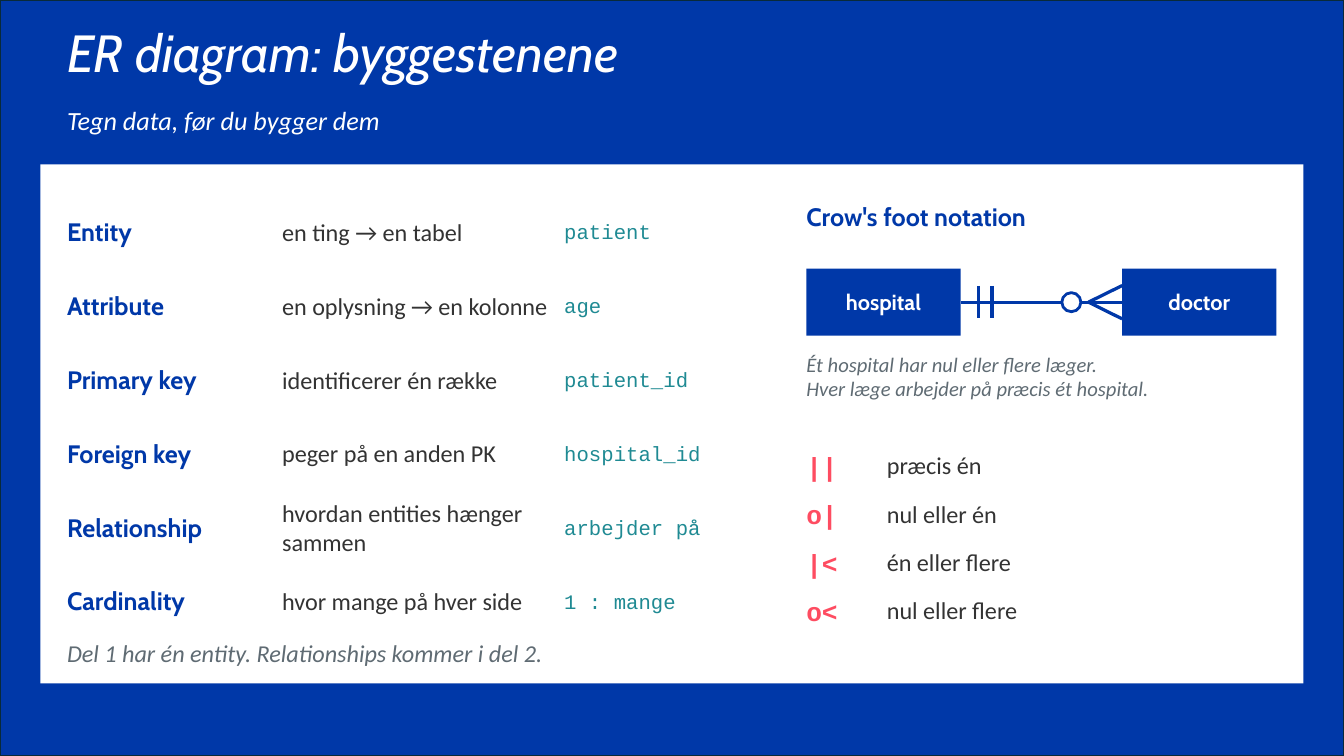
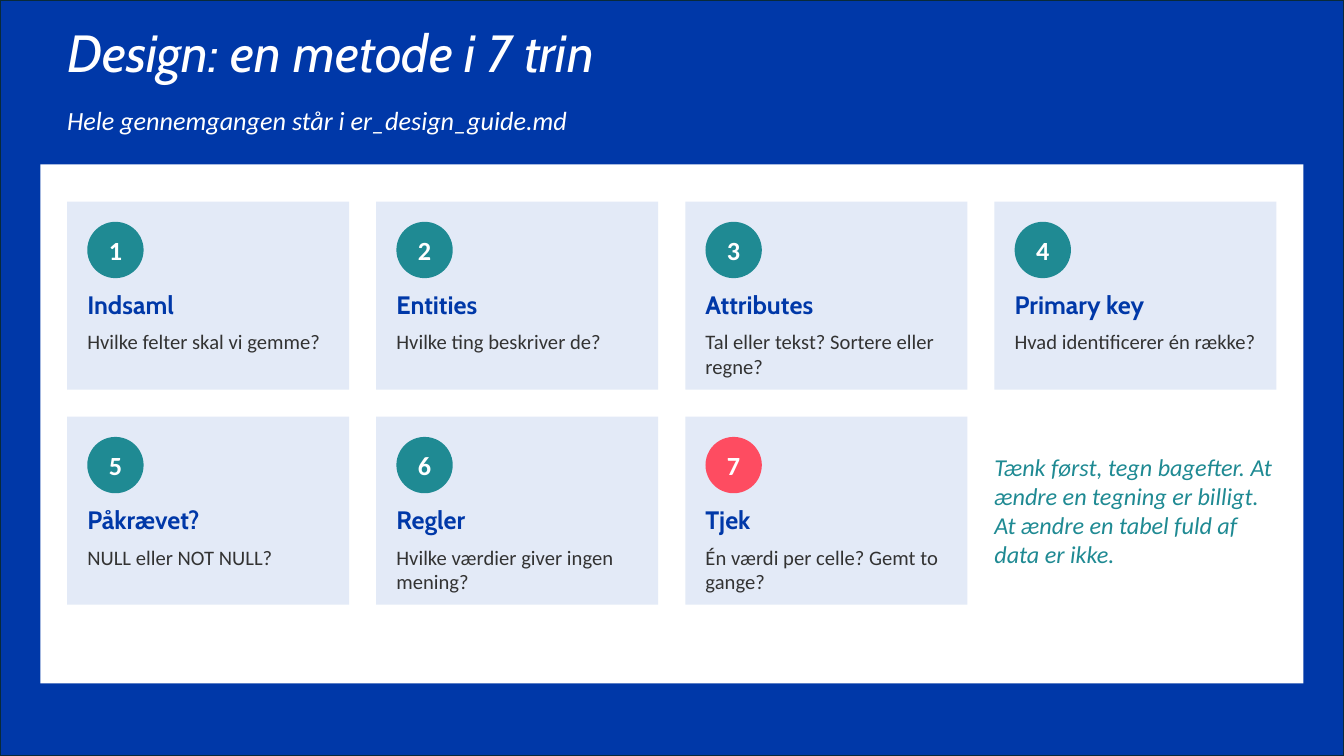
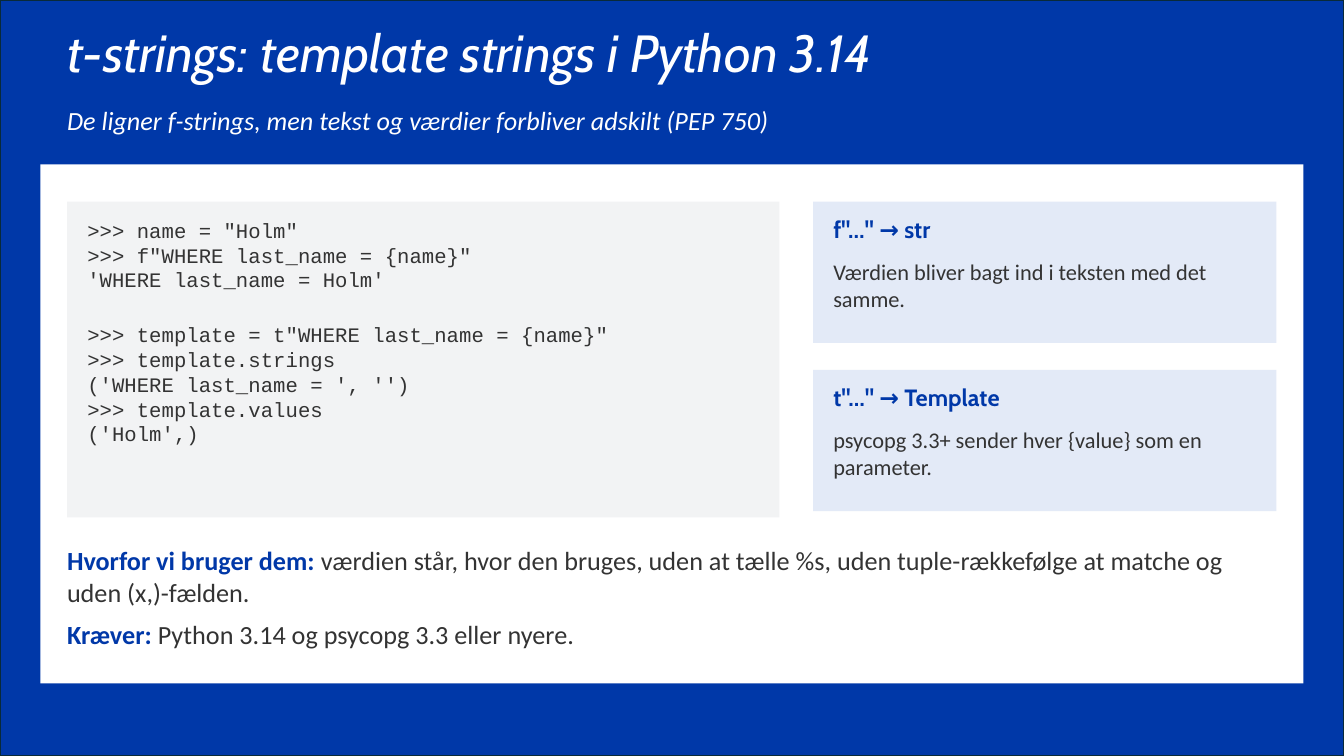
from typing import NamedTuple

from lxml.etree import SubElement
from pptx import Presentation
from pptx.dml.color import RGBColor
from pptx.enum.shapes import MSO_CONNECTOR, MSO_SHAPE
from pptx.enum.text import MSO_ANCHOR as Anchor, PP_ALIGN as Align
from pptx.oxml.ns import qn
from pptx.util import Cm, Pt

COLORS = {
    "blue": "0038A8", "edge": "092A39", "white": "FFFFFF", "ink": "333333",
    "teal": "1F8A93", "red": "FE4C61", "gray": "5F6B73",
    "pale": "E3EAF7", "code": "F2F3F4",
}


class Style(NamedTuple):
    size: float
    font: str
    color: str
    bold: bool = False
    italic: bool = False


class Box(NamedTuple):
    """A rectangle in centimetres."""
    left: float
    top: float
    width: float
    height: float

    def inner(self, left, top, width, height):
        """A box placed from this box's top left corner."""
        return Box(self.left + left, self.top + top, width, height)


TITLE = Style(37.3, "Cabin", "white", italic=True)
SUBTITLE = Style(18.7, "Calibri", "white", italic=True)
HEADING = Style(18, "Cabin", "blue", bold=True)
BODY = Style(17.3, "Calibri", "ink")
SMALL = BODY._replace(size=14.7)
NOTE = BODY._replace(color="gray", italic=True)
CODE = Style(14.7, "Courier New", "ink")
SYMBOL = Style(18.7, "Courier New", "red", bold=True)
NUMBER = Style(18.7, "Calibri", "white", bold=True)
SUMMARY = BODY._replace(size=18.7)

SLIDE = Box(0, 0, 33.87, 19.05)
PANEL = Box(1.02, 4.14, 31.83, 13.08)
CONTENT = Box(1.69, 5.08, 30.48, 11.7)
GAP = 0.68
PAD = 0.51


def rgb(name):
    return RGBColor.from_string(COLORS[name])


def fill_frame(shape, paragraphs, anchor=Anchor.TOP, align=Align.LEFT, inset=(0, 0)):
    """Write paragraphs, each a list of (text, style) runs; inset is left/right, top/bottom."""
    frame = shape.text_frame
    frame.word_wrap = True
    frame.vertical_anchor = anchor
    frame.margin_left = frame.margin_right = Cm(inset[0])
    frame.margin_top = frame.margin_bottom = Cm(inset[1])
    for index, runs in enumerate(paragraphs):
        para = frame.add_paragraph() if index else frame.paragraphs[0]
        para.alignment = align
        for text, style in runs:
            span = para.add_run()
            span.text = text
            font = span.font
            font.size, font.name = Pt(style.size), style.font
            font.bold, font.italic = style.bold, style.italic
            font.color.rgb = rgb(style.color)
    return frame


def add_text(page, box, text, style, anchor=Anchor.TOP):
    """Add a text box with one paragraph for each line of text."""
    shape = page.shapes.add_textbox(*map(Cm, box))
    return fill_frame(shape, [[(line, style)] for line in text.split("\n")], anchor)


def add_block(page, box, fill, kind=MSO_SHAPE.RECTANGLE, line=None, line_width=0):
    shape = page.shapes.add_shape(kind, *map(Cm, box))
    shape.shadow.inherit = False
    shape.fill.solid()
    shape.fill.fore_color.rgb = rgb(fill)
    if line:
        shape.line.color.rgb = rgb(line)
        shape.line.width = Pt(line_width)
    else:
        shape.line.fill.background()
    return shape


def add_line(page, x1, y1, x2, y2):
    line = page.shapes.add_connector(MSO_CONNECTOR.STRAIGHT, Cm(x1), Cm(y1), Cm(x2), Cm(y2))
    line.line.color.rgb = rgb("blue")
    line.line.width = Pt(2.33)
    SubElement(line._element.spPr, qn("a:effectLst"))
    return line


def add_page(deck, title, subtitle):
    page = deck.slides.add_slide(deck.slide_layouts[6])
    add_block(page, SLIDE, "blue", line="edge", line_width=1.5)
    heading = add_text(page, Box(CONTENT.left, 0.68, CONTENT.width, 1.86), title, TITLE)
    heading.paragraphs[0].line_spacing = 0.9
    add_block(page, PANEL, "white")
    add_text(page, Box(CONTENT.left, 2.64, CONTENT.width, 1.19), subtitle, SUBTITLE)
    return page


def add_terms(page, box, terms):
    columns = [(0, 5.42, HEADING), (5.42, 7.11, BODY),
               (12.53, 4.74, CODE._replace(color="teal"))]
    for row, texts in enumerate(terms):
        for text, (left, width, style) in zip(texts, columns):
            add_text(page, box.inner(left, row * 1.86, width, 1.52), text, style, Anchor.MIDDLE)


def add_relationship(page, box, from_name, to_name):
    """Two entities joined by a line from exactly one to zero or more."""
    width = 3.89
    entities = []
    for name, left in ((from_name, 0), (to_name, box.width - width)):
        entity = add_block(page, box.inner(left, 0, width, box.height), "blue")
        style = HEADING._replace(size=15.6, color="white")
        fill_frame(entity, [[(name, style)]], Anchor.MIDDLE, Align.CENTER)
        entities.append(entity)
    start, end = box.left + width, box.left + box.width - width
    middle = box.top + box.height / 2
    link = add_line(page, start, middle, end, middle)
    link.begin_connect(entities[0], 3)
    link.end_connect(entities[1], 1)
    for offset in (0.45, 0.79):
        add_line(page, start + offset, middle - 0.41, start + offset, middle + 0.41)
    for spread in (-0.42, 0.42):
        add_line(page, end - 0.85, middle, end, middle + spread)
    size = 0.48
    ring = Box(end - 1.28 - size / 2, middle - size / 2, size, size)
    add_block(page, ring, "white", MSO_SHAPE.OVAL, "blue", 2)


def add_notation(page, box, symbols):
    add_text(page, box.inner(0, 0, box.width, 1.19), "Crow's foot notation", HEADING)
    add_relationship(page, box.inner(0, 1.69, box.width, 1.69), "hospital", "doctor")
    add_text(page, box.inner(0, 3.78, box.width, 1.86),
             "Ét hospital har nul eller flere læger.\nHver læge arbejder på præcis ét hospital.",
             NOTE._replace(size=14.7))
    for row, (symbol, meaning) in enumerate(symbols):
        top = 6.27 + row * 1.22
        add_text(page, box.inner(0, top, 2.03, 1.09), symbol, SYMBOL)
        add_text(page, box.inner(2.03, top, box.width - 2.03, 1.09), meaning, BODY)


def add_step(page, box, number, name, question, color):
    add_block(page, box, "pale")
    badge = add_block(page, box.inner(PAD, PAD, 1.42, 1.42), color, MSO_SHAPE.OVAL)
    fill_frame(badge, [[(str(number), NUMBER)]], Anchor.MIDDLE, Align.CENTER)
    add_text(page, box.inner(PAD, 2.2, 6.27, 1.02), name, HEADING)
    add_text(page, box.inner(PAD, 3.22, 6.27, 1.35), question, SMALL)


def add_code(page, box, groups):
    """Code lines in groups, with a gap above each group but the first."""
    paragraphs = [[(line, CODE)] for group in groups for line in group]
    frame = fill_frame(add_block(page, box, "code"), paragraphs, inset=(PAD, 0.41))
    row = 0
    for group in groups[:-1]:
        row += len(group)
        frame.paragraphs[row].space_before = Pt(21.6)


def add_result(page, box, heading, text):
    add_block(page, box, "pale")
    width = box.width - 2 * PAD
    add_text(page, box.inner(PAD, 0.34, width, 1.02), heading, HEADING._replace(size=16.8))
    add_text(page, box.inner(PAD, 1.42, width, 1.93), text, BODY._replace(size=16))


def add_summary(page, box, points):
    lead = SUMMARY._replace(color="blue", bold=True)
    shape = page.shapes.add_textbox(*map(Cm, box))
    frame = fill_frame(shape, [[(label, lead), (text, SUMMARY)] for label, text in points])
    for para in frame.paragraphs:
        para.space_after = Pt(8)


def build_er_page(deck):
    page = add_page(deck, "ER diagram: byggestenene", "Tegn data, før du bygger dem")
    add_terms(page, CONTENT, [
        ("Entity", "en ting → en tabel", "patient"),
        ("Attribute", "en oplysning → en kolonne", "age"),
        ("Primary key", "identificerer én række", "patient_id"),
        ("Foreign key", "peger på en anden PK", "hospital_id"),
        ("Relationship", "hvordan entities hænger sammen", "arbejder på"),
        ("Cardinality", "hvor mange på hver side", "1 : mange"),
    ])
    add_notation(page, CONTENT.inner(18.63, 0, 11.85, 11), [
        ("||", "præcis én"),
        ("o|", "nul eller én"),
        ("|<", "én eller flere"),
        ("o<", "nul eller flere"),
    ])
    add_text(page, CONTENT.inner(0, 11, CONTENT.width, 1.02),
             "Del 1 har én entity. Relationships kommer i del 2.", NOTE)


def build_method_page(deck):
    page = add_page(deck, "Design: en metode i 7 trin",
                    "Hele gennemgangen står i er_design_guide.md")
    steps = [
        ("Indsaml", "Hvilke felter skal vi gemme?"),
        ("Entities", "Hvilke ting beskriver de?"),
        ("Attributes", "Tal eller tekst? Sortere eller regne?"),
        ("Primary key", "Hvad identificerer én række?"),
        ("Påkrævet?", "NULL eller NOT NULL?"),
        ("Regler", "Hvilke værdier giver ingen mening?"),
        ("Tjek", "Én værdi per celle? Gemt to gange?"),
    ]
    columns, height = 4, 4.74
    width = (CONTENT.width - (columns - 1) * GAP) / columns
    cells = [CONTENT.inner(column * (width + GAP), row * (height + GAP), width, height)
             for row in range(2) for column in range(columns)]
    for number, (cell, (name, question)) in enumerate(zip(cells, steps), 1):
        color = "red" if number == len(steps) else "teal"
        add_step(page, cell, number, name, question, color)
    add_text(page, cells[-1],
             "Tænk først, tegn bagefter. At ændre en tegning er billigt. "
             "At ændre en tabel fuld af data er ikke.",
             NOTE._replace(color="teal"), Anchor.MIDDLE)


def build_template_page(deck):
    page = add_page(deck, "t-strings: template strings i Python 3.14",
                    "De ligner f-strings, men tekst og værdier forbliver adskilt (PEP 750)")
    add_code(page, CONTENT.inner(0, 0, 17.95, 7.96), [
        ['>>> name = "Holm"',
         '>>> f"WHERE last_name = {name}"',
         "'WHERE last_name = Holm'"],
        ['>>> template = t"WHERE last_name = {name}"',
         ">>> template.strings",
         "('WHERE last_name = ', '')",
         ">>> template.values",
         "('Holm',)"],
    ])
    results = [
        ('f"…" → str', "Værdien bliver bagt ind i teksten med det samme."),
        ('t"…" → Template', "psycopg 3.3+ sender hver {value} som en parameter."),
    ]
    height = 3.56
    for row, (heading, text) in enumerate(results):
        add_result(page, CONTENT.inner(18.8, row * (height + GAP), 11.68, height), heading, text)
    add_summary(page, CONTENT.inner(0, 8.64, CONTENT.width, 3.05), [
        ("Hvorfor vi bruger dem: ",
         "værdien står, hvor den bruges, uden at tælle %s, "
         "uden tuple-rækkefølge at matche og uden (x,)-fælden."),
        ("Kræver: ", "Python 3.14 og psycopg 3.3 eller nyere."),
    ])


def main():
    deck = Presentation()
    deck.slide_width, deck.slide_height = Cm(SLIDE.width), Cm(SLIDE.height)
    build_er_page(deck)
    build_method_page(deck)
    build_template_page(deck)
    deck.save("out.pptx")


if __name__ == "__main__":
    main()
